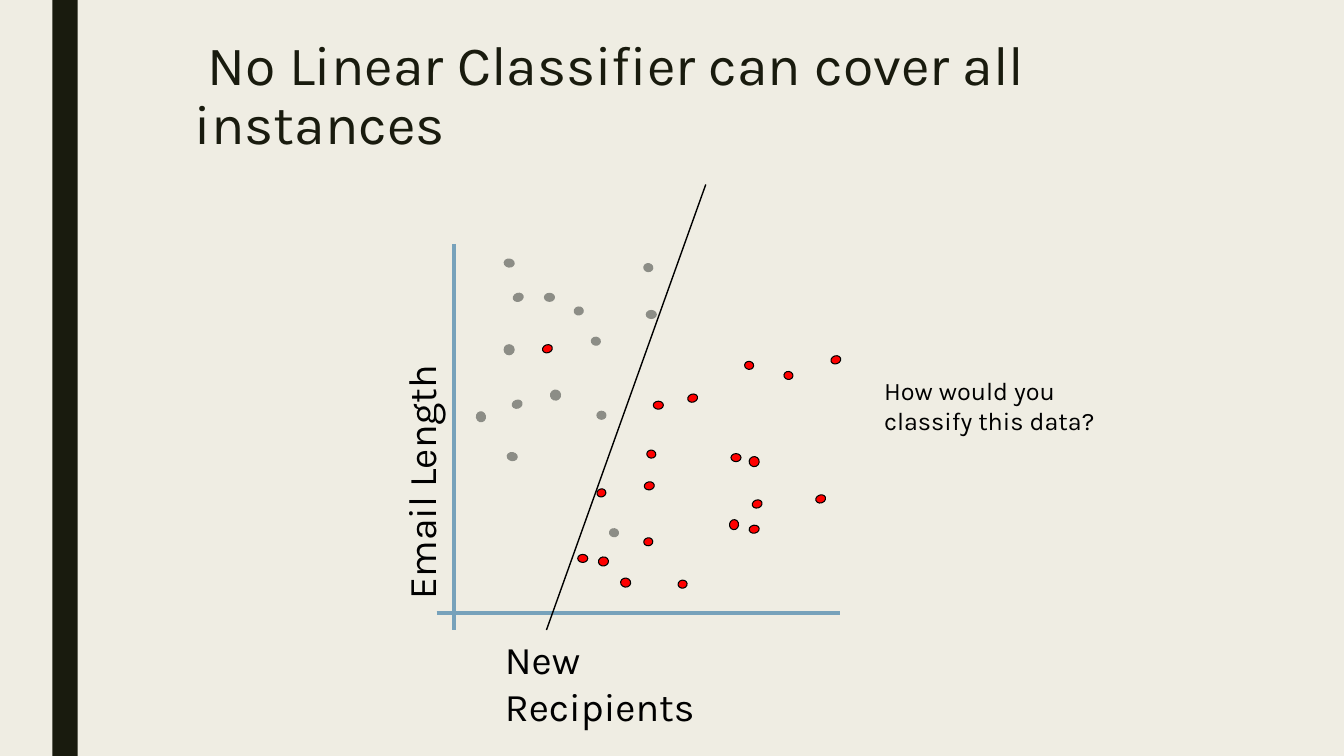
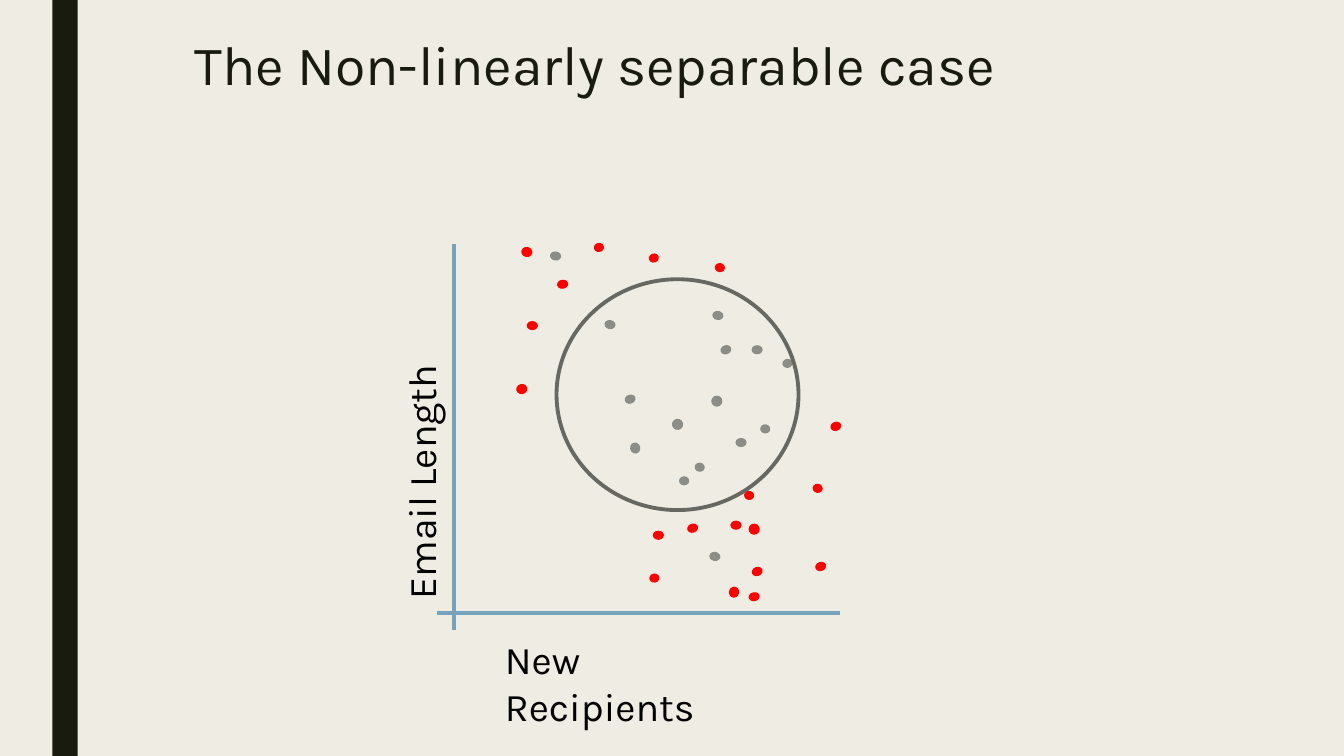
from dataclasses import dataclass
from typing import NamedTuple

from lxml import etree
from pptx import Presentation
from pptx import util as u
from pptx.dml.color import RGBColor
from pptx.enum import shapes, text
from pptx.oxml import ns


# Theme
@dataclass(frozen=True)
class Theme:
    font: str = "Karla"
    background: str = "EFEDE3"
    dark: str = "191B0E"
    black: str = "000000"
    axis: str = "77A2BB"
    red: str = "FF0000"
    grey: str = "8C8D86"
    boundary: str = "686863"
    title_size: float = 39.6
    label_size: float = 28
    note_size: float = 18
    title_spacing: float = 0.89
    axis_width: float = 3
    dot_outline: float = 0.75


THEME = Theme()


# Repeated elements
class Box(NamedTuple):
    left: float
    top: float
    width: float
    height: float


class Line(NamedTuple):
    start: tuple[float, float]
    end: tuple[float, float]
    colour: str
    width: float


class Label(NamedTuple):
    words: str
    box: Box
    size: float
    rotation: float = 0


class Cloud(NamedTuple):
    fill: str
    outline: str
    dots_by_tilt: dict[float, list[tuple[float, float, float, float]]]


AXES = [
    Line((4.5, 2.42), (4.5, 6.25), THEME.axis, THEME.axis_width),
    Line((4.33, 6.08), (8.33, 6.08), THEME.axis, THEME.axis_width),
]
AXIS_LABELS = [
    Label("New Recipients", Box(4.91, 6.25, 2.86, 0.57), THEME.label_size),
    Label("Email Length", Box(2.75, 4.33, 2.86, 0.57), THEME.label_size, 270),
]

# Data points: tilt -> (left, top, width, height)
LINEAR_CLOUDS = [
    Cloud(THEME.grey, THEME.grey, {
        0: [(6.41, 3.08, 0.1, 0.08), (5.4, 2.91, 0.1, 0.08),
            (5.92, 4.08, 0.09, 0.08), (5, 3.42, 0.1, 0.1)],
        341.4: [(5.09, 2.91, 0.1, 0.08), (5.08, 3.97, 0.1, 0.08)],
        98.3: [(5.87, 3.34, 0.08, 0.09), (5.04, 4.48, 0.08, 0.1),
               (6.39, 2.61, 0.08, 0.09), (5.01, 2.56, 0.08, 0.1),
               (6.05, 5.24, 0.08, 0.09)],
        79.6: [(5.46, 3.87, 0.1, 0.1), (4.72, 4.09, 0.1, 0.09),
               (5.7, 3.04, 0.08, 0.09)],
    }),
    Cloud(THEME.red, THEME.black, {
        0: [(5.73, 5.5, 0.1, 0.08), (6.48, 3.98, 0.1, 0.08),
            (7.25, 4.5, 0.1, 0.08)],
        341.4: [(5.92, 4.85, 0.09, 0.08), (8.24, 3.53, 0.1, 0.08),
                (7.46, 4.96, 0.1, 0.08), (6.82, 3.91, 0.1, 0.08),
                (8.09, 4.91, 0.1, 0.08), (5.38, 3.42, 0.1, 0.08)],
        98.3: [(6.16, 5.73, 0.09, 0.1), (7.43, 4.53, 0.1, 0.1),
               (6.42, 4.46, 0.08, 0.09), (7.78, 3.68, 0.08, 0.09),
               (7.39, 3.58, 0.08, 0.09), (7.23, 5.16, 0.1, 0.09)],
        79.6: [(6.73, 5.75, 0.08, 0.09), (6.39, 5.33, 0.08, 0.09),
               (6.4, 4.77, 0.08, 0.1), (5.94, 5.52, 0.09, 0.1),
               (7.44, 5.2, 0.08, 0.1)],
    }),
]
CIRCLE_CLOUDS = [
    Cloud(THEME.grey, THEME.grey, {
        0: [(7.3, 4.35, 0.1, 0.08), (7.46, 3.43, 0.1, 0.08),
            (6.74, 4.73, 0.09, 0.08), (7.06, 3.93, 0.1, 0.1)],
        341.4: [(7.15, 3.43, 0.1, 0.08), (6.2, 3.92, 0.1, 0.08)],
        98.3: [(6.9, 4.59, 0.08, 0.09), (6.01, 3.17, 0.08, 0.1),
               (7.55, 4.21, 0.08, 0.09), (7.08, 3.08, 0.08, 0.1),
               (5.47, 2.49, 0.08, 0.1), (7.05, 5.47, 0.08, 0.1)],
        79.6: [(6.67, 4.16, 0.1, 0.1), (6.25, 4.4, 0.1, 0.09),
               (7.77, 3.56, 0.08, 0.09)],
    }),
    Cloud(THEME.red, THEME.red, {
        0: [(5.23, 3.19, 0.1, 0.08), (6.48, 5.27, 0.1, 0.08),
            (7.25, 5.17, 0.1, 0.08)],
        341.4: [(6.44, 2.52, 0.09, 0.08), (8.24, 4.19, 0.1, 0.08),
                (7.46, 5.63, 0.1, 0.08), (6.82, 5.2, 0.1, 0.08),
                (8.09, 5.58, 0.1, 0.08)],
        98.3: [(5.18, 2.45, 0.09, 0.1), (7.43, 5.2, 0.1, 0.1),
               (7.1, 2.61, 0.08, 0.09), (8.07, 4.8, 0.08, 0.09),
               (7.39, 4.87, 0.08, 0.09), (7.23, 5.83, 0.1, 0.09)],
        79.6: [(6.45, 5.69, 0.08, 0.09), (5.9, 2.41, 0.08, 0.09),
               (5.54, 2.77, 0.08, 0.1), (5.13, 3.81, 0.09, 0.1),
               (7.44, 5.87, 0.08, 0.1)],
    }),
]


# Drawing functions
def colour(code: str) -> RGBColor:
    return RGBColor.from_string(code)


def inches(box: Box) -> list[u.Length]:
    return [u.Inches(length) for length in box]


def add_text(paragraph, words: str, size: float, code: str) -> None:
    run = paragraph.add_run()
    run.text = words
    run.font.name = THEME.font
    run.font.size = u.Pt(size)
    run.font.color.rgb = colour(code)


def add_preset(slide, kind, box: Box, fill: str | None = None,
               outline: str | None = None, width: float = 0):
    shape = slide.shapes.add_shape(kind, *inches(box))
    shape.shadow.inherit = False
    if fill:
        shape.fill.solid()
        shape.fill.fore_color.rgb = colour(fill)
    else:
        shape.fill.background()
    if outline:
        shape.line.color.rgb = colour(outline)
        shape.line.width = u.Pt(width)
    else:
        shape.line.fill.background()
    return shape


def add_line(slide, line: Line) -> None:
    ends = [u.Inches(length) for length in (*line.start, *line.end)]
    connector = slide.shapes.add_connector(shapes.MSO_CONNECTOR.STRAIGHT, *ends)
    connector.line.color.rgb = colour(line.colour)
    connector.line.width = u.Pt(line.width)
    etree.SubElement(connector.element.spPr, ns.qn("a:effectLst"))


def add_label(slide, label: Label) -> None:
    shape = slide.shapes.add_textbox(*inches(label.box))
    shape.rotation = label.rotation
    frame = shape.text_frame
    frame.word_wrap = True
    frame.auto_size = text.MSO_AUTO_SIZE.SHAPE_TO_FIT_TEXT
    add_text(frame.paragraphs[0], label.words, label.size, THEME.black)


def add_cloud(slide, cloud: Cloud) -> None:
    for tilt, dots in cloud.dots_by_tilt.items():
        for dot in dots:
            shape = add_preset(slide, shapes.MSO_SHAPE.OVAL, Box(*dot),
                               cloud.fill, cloud.outline, THEME.dot_outline)
            shape.rotation = tilt


def set_title(slide, words: str, width: float) -> None:
    title = slide.shapes.title
    title.left, title.top, title.width, title.height = inches(
        Box(1.83, 0.33, width, 0.75))
    frame = title.text_frame
    frame.word_wrap = True
    frame.auto_size = text.MSO_AUTO_SIZE.NONE
    frame.vertical_anchor = text.MSO_ANCHOR.TOP
    paragraph = frame.paragraphs[0]
    paragraph.alignment = text.PP_ALIGN.LEFT
    paragraph.line_spacing = THEME.title_spacing
    add_text(paragraph, words, THEME.title_size, THEME.dark)


def add_plot_slide(presentation, title: str, title_width: float,
                   clouds: list[Cloud]):
    slide = presentation.slides.add_slide(presentation.slide_layouts[5])
    set_title(slide, title, title_width)
    for axis in AXES:
        add_line(slide, axis)
    for cloud in clouds:
        add_cloud(slide, cloud)
    for label in AXIS_LABELS:
        add_label(slide, label)
    return slide


def style_master(presentation, slide) -> None:
    master = presentation.slide_master
    master.background.fill.solid()
    master.background.fill.fore_color.rgb = colour(THEME.background)
    band = add_preset(slide, shapes.MSO_SHAPE.RECTANGLE,
                      Box(0.52, 0, 0.25, 7.5), THEME.dark)
    # Moving the band to the master shows it on every slide
    master.shapes.element.insert(2, band.element)


presentation = Presentation()
presentation.slide_width = u.Inches(13.33)
presentation.slide_height = u.Inches(7.5)

# Slide 1: straight boundary
linear_slide = add_plot_slide(
    presentation, " No Linear Classifier can cover all instances", 9.25,
    LINEAR_CLOUDS)
add_line(linear_slide, Line((5.42, 6.25), (7, 1.83), THEME.black, 1))
add_label(linear_slide, Label("How would you classify this data?",
                              Box(8.67, 3.67, 2.42, 0.71), THEME.note_size))
style_master(presentation, linear_slide)

# Slide 2: circular boundary
circle_slide = add_plot_slide(
    presentation, "The Non-linearly separable case", 8.69, CIRCLE_CLOUDS)
add_preset(circle_slide, shapes.MSO_SHAPE.OVAL, Box(5.52, 2.77, 2.4, 2.29),
           outline=THEME.boundary, width=2.75)

presentation.save("out.pptx")
